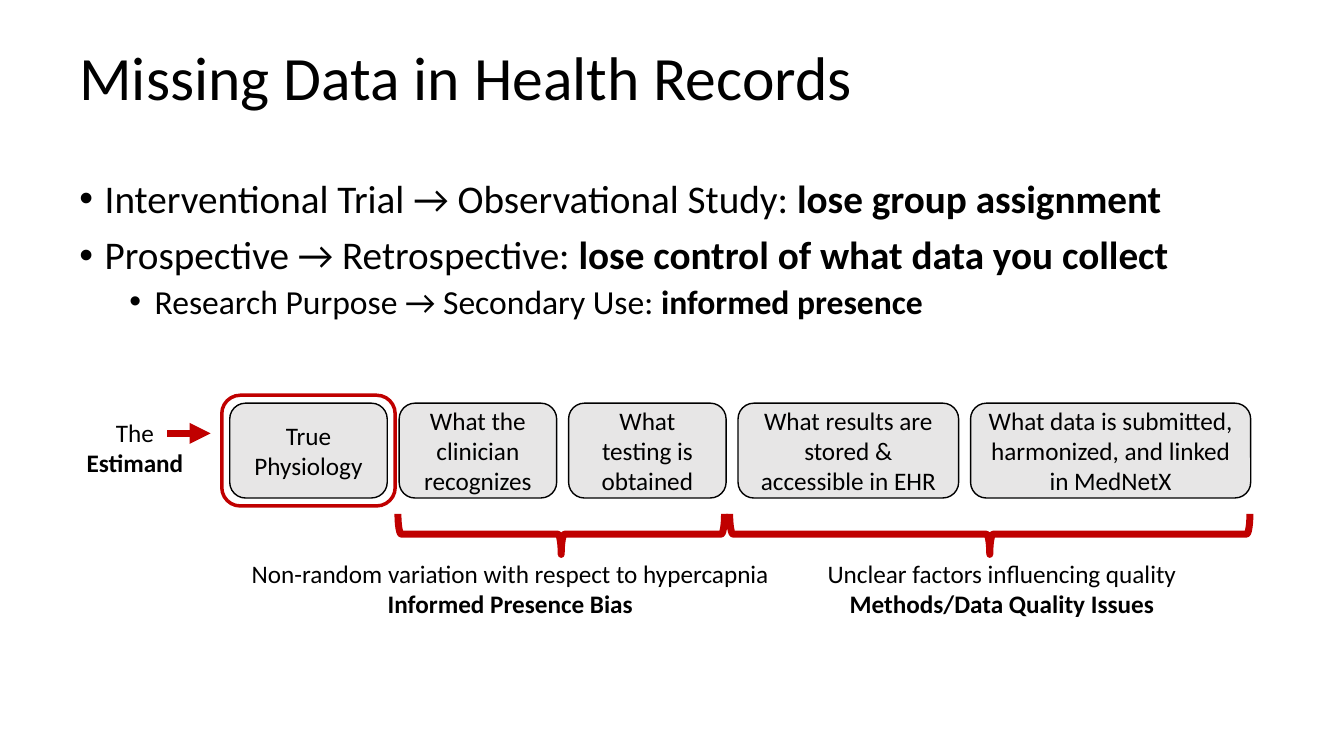
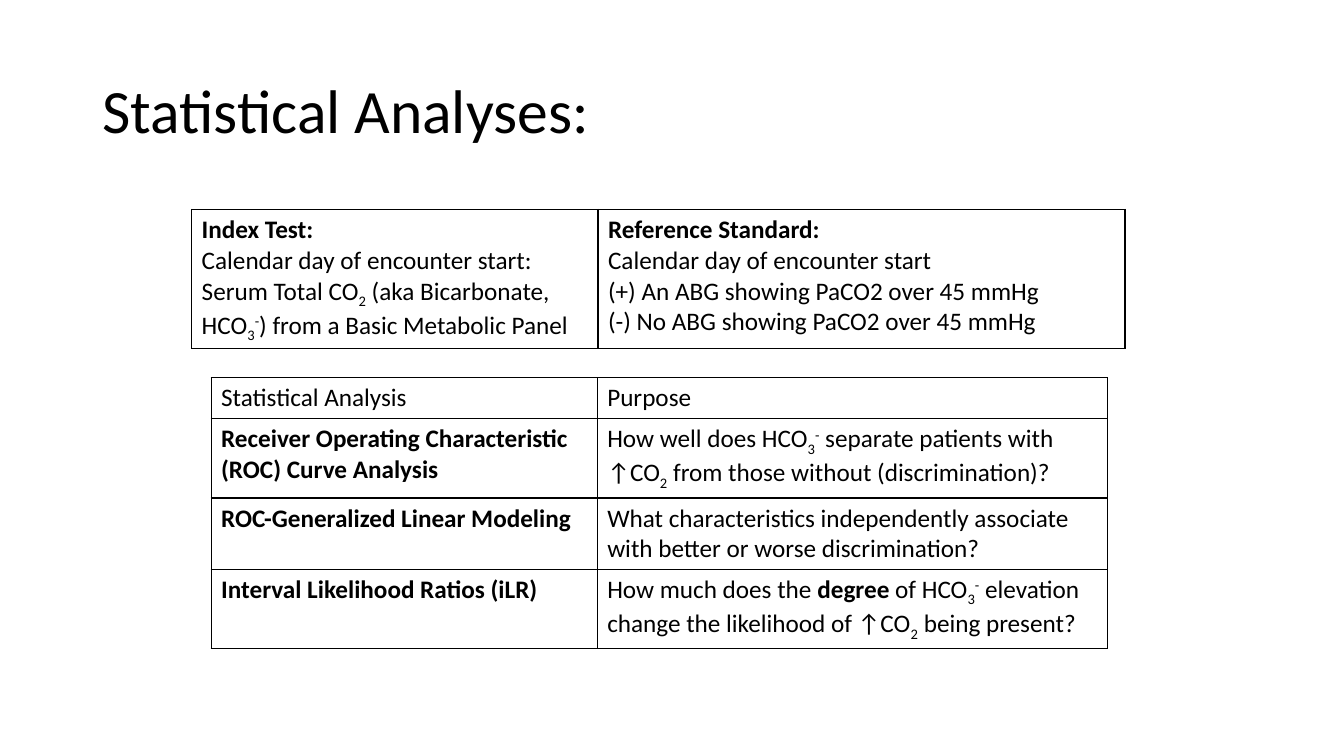
from lxml.etree import SubElement
from pptx import Presentation
from pptx.dml.color import RGBColor
from pptx.enum.shapes import MSO_CONNECTOR as CONNECTOR, MSO_SHAPE as SHAPE
from pptx.enum.text import MSO_ANCHOR as ANCHOR, PP_ALIGN as ALIGN
from pptx.oxml.ns import qn
from pptx.util import Cm, Pt

FONT = "Calibri"
BLACK, WHITE, GREY, RED = "000000", "FFFFFF", "E7E6E6", "C00000"
BOLD, SUB, SUP = {"b": "1"}, {"baseline": "-25000"}, {"baseline": "30000"}
CO2 = ["CO", ("2", SUB)]
HCO3 = ["HCO", ("3", SUB), ("-", SUP)]

BOX_TOP, BOX_HEIGHT, BOX_GAP = 10.16, 2.39, 0.3
STAGES = [
    ("True Physiology", 3.97),
    ("What the clinician recognizes", 3.97),
    ("What testing is obtained", 3.97),
    ("What results are stored & accessible in EHR", 5.56),
    ("What data is submitted, harmonized, and linked in MedNetX", 7.06),
]
BULLETS = [
    (0, ["Interventional Trial → Observational Study: ", ("lose group assignment", BOLD)]),
    (0, ["Prospective → Retrospective:", (" lose control of what data you collect", BOLD)]),
    (1, ["Research Purpose → Secondary Use: ", ("informed presence", BOLD)]),
]
# size, left margin (cm) and space before, by bullet level
LEVELS = [(28, 0.64, 10), (24, 1.9, 5)]

# A cell is a list of paragraphs; a paragraph is a list of spans.
TESTS = [[
    [[("Index Test:", BOLD)],
     ["Calendar day of encounter start:"],
     ["Serum Total ", *CO2, " (aka Bicarbonate, ", *HCO3, ") from a Basic Metabolic Panel"]],
    [[("Reference Standard:", BOLD)],
     ["Calendar day of encounter start"],
     ["(+) An ABG showing PaCO2 over 45 mmHg"],
     ["(-) No ABG showing PaCO2 over 45 mmHg"]],
]]
ANALYSES = [
    [[["Statistical Analysis"]], [["Purpose"]]],
    [[[("Receiver Operating Characteristic (ROC) Curve Analysis", BOLD)]],
     [["How well does ", *HCO3, " separate patients with ↑", *CO2,
       " from those without (discrimination)?"]]],
    [[[("ROC-Generalized Linear Modeling", BOLD)]],
     [["What characteristics independently associate with better or worse discrimination?"]]],
    [[[("Interval Likelihood Ratios (iLR)", BOLD)]],
     [["How much does the ", ("degree", BOLD), " of ", *HCO3,
       " elevation change the likelihood of ↑", *CO2, " being present?"]]],
]


def color(value):
    return RGBColor.from_string(value)


def set_line(line, value, width):
    line.color.rgb = color(value)
    line.width = Pt(width)


def add_spans(para, spans, size):
    """Add spans, each a string or a (string, run attributes) pair."""
    for span in spans:
        text, extra = (span, {}) if isinstance(span, str) else span
        run = para.add_run()
        run.text = text
        for name, value in {"size": Pt(size), "name": FONT}.items():
            setattr(run.font, name, value)
        run.font.color.rgb = color(BLACK)
        for name, value in extra.items():
            run.font._element.set(name, value)


def fill_text(frame, paras, size=18, **formats):
    for index, spans in enumerate(paras):
        para = frame.paragraphs[0] if index == 0 else frame.add_paragraph()
        for name, value in formats.items():
            setattr(para, name, value)
        add_spans(para, spans, size)


def add_text(page, left, top, width, height, paras, **formats):
    box = page.shapes.add_textbox(Cm(left), Cm(top), Cm(width), Cm(height))
    box.text_frame.word_wrap = True
    fill_text(box.text_frame, paras, **formats)
    return box


def add_title(page, left, top, width, text):
    box = add_text(page, left, top, width, 3.68, [[text]], size=44, line_spacing=0.9)
    box.text_frame.vertical_anchor = ANCHOR.MIDDLE


def add_bullets(page, left, top, width, height):
    frame = add_text(page, left, top, width, height, []).text_frame
    for index, (level, spans) in enumerate(BULLETS):
        size, margin, before = LEVELS[level]
        para = frame.paragraphs[0] if index == 0 else frame.add_paragraph()
        para.level = level
        para.line_spacing = 0.9
        para.space_before = Pt(before if index else 0)
        properties = para._p.get_or_add_pPr()
        properties.set("marL", str(Cm(margin)))
        properties.set("indent", str(-Cm(0.64)))
        SubElement(properties, qn("a:buFont"), typeface="Arial")
        SubElement(properties, qn("a:buChar"), char="•")
        add_spans(para, spans, size)


def add_outline(page, kind, left, top, width, height, line, weight, fill=None):
    shape = page.shapes.add_shape(kind, Cm(left), Cm(top), Cm(width), Cm(height))
    shape.shadow.inherit = False
    if fill:
        shape.fill.solid()
        shape.fill.fore_color.rgb = color(fill)
    else:
        shape.fill.background()
    set_line(shape.line, line, weight)
    return shape


def add_stages(page, left):
    for text, width in STAGES:
        box = add_outline(page, SHAPE.ROUNDED_RECTANGLE, left, BOX_TOP, width,
                          BOX_HEIGHT, BLACK, 1, GREY)
        box.text_frame.word_wrap = True
        box.text_frame.vertical_anchor = ANCHOR.MIDDLE
        fill_text(box.text_frame, [[text]], alignment=ALIGN.CENTER)
        left += width + BOX_GAP


def add_brace(page, left, right, top=12.95, depth=1.02):
    """Draw a brace that opens upwards between left and right."""
    length = right - left
    brace = add_outline(page, SHAPE.LEFT_BRACE, (left + right - depth) / 2,
                        top + (depth - length) / 2, depth, length, RED, 5)
    brace.rotation = 270


def add_arrow(page, start, end, y):
    arrow = page.shapes.add_connector(CONNECTOR.STRAIGHT, Cm(start), Cm(y), Cm(end), Cm(y))
    set_line(arrow.line, RED, 5)
    SubElement(arrow.line._get_or_add_ln(), qn("a:tailEnd"), type="triangle")
    SubElement(arrow._element.spPr, qn("a:effectLst"))


def add_borders(cell):
    properties = cell._tc.get_or_add_tcPr()
    for side in ("lnL", "lnR", "lnT", "lnB"):
        line = SubElement(properties, qn(f"a:{side}"), w=str(Pt(1)))
        fill = SubElement(line, qn("a:solidFill"))
        SubElement(fill, qn("a:srgbClr"), val=BLACK)


def add_grid(page, left, top, widths, heights, rows):
    table = page.shapes.add_table(len(rows), len(widths), Cm(left), Cm(top),
                                  Cm(sum(widths)), Cm(sum(heights))).table
    table.first_row = table.horz_banding = False
    for column, width in zip(table.columns, widths):
        column.width = Cm(width)
    for row, height, contents in zip(table.rows, heights, rows):
        row.height = Cm(height)
        for cell, paras in zip(row.cells, contents):
            add_borders(cell)
            cell.fill.solid()
            cell.fill.fore_color.rgb = color(WHITE)
            fill_text(cell.text_frame, paras)


def build_missing_data(page):
    add_title(page, 1.75, 0.2, 23.55, "Missing Data in Health Records")
    add_bullets(page, 1.75, 4.4, 29.5, 4.5)
    first = 5.79
    add_stages(page, first)
    margin = 0.2
    add_outline(page, SHAPE.ROUNDED_RECTANGLE, first - margin, BOX_TOP - margin,
                STAGES[0][1] + 2 * margin, BOX_HEIGHT + 2 * margin, RED, 2.5)
    add_arrow(page, 4.22, 5.31, 10.92)
    add_brace(page, 10.03, 18.26)
    add_brace(page, 18.39, 31.5)
    labels = [
        (1.9, 10.39, 3, [["The ", ("Estimand", BOLD)]]),
        (5.36, 13.94, 15, [["Non-random variation with respect to hypercapnia"],
                           [("Informed Presence Bias", BOLD)]]),
        (18.6, 13.94, 13.3, [["Unclear factors influencing quality"],
                             [("Methods/Data Quality Issues", BOLD)]]),
    ]
    for left, top, width, paras in labels:
        add_text(page, left, top, width, 1.8, paras, alignment=ALIGN.CENTER)


def build_analyses(page):
    add_title(page, 2.33, 1.01, 29.21, "Statistical Analyses:")
    add_grid(page, 5.32, 9.52, [9.73, 12.85], [1.03, 2, 1.8, 1.98], ANALYSES)
    add_grid(page, 4.83, 5.28, [10.24, 13.28], [3.3], TESTS)


def main():
    deck = Presentation()
    deck.slide_width, deck.slide_height = Cm(33.87), Cm(19.05)
    for build in (build_missing_data, build_analyses):
        build(deck.slides.add_slide(deck.slide_layouts[6]))
    deck.save("out.pptx")


if __name__ == "__main__":
    main()
